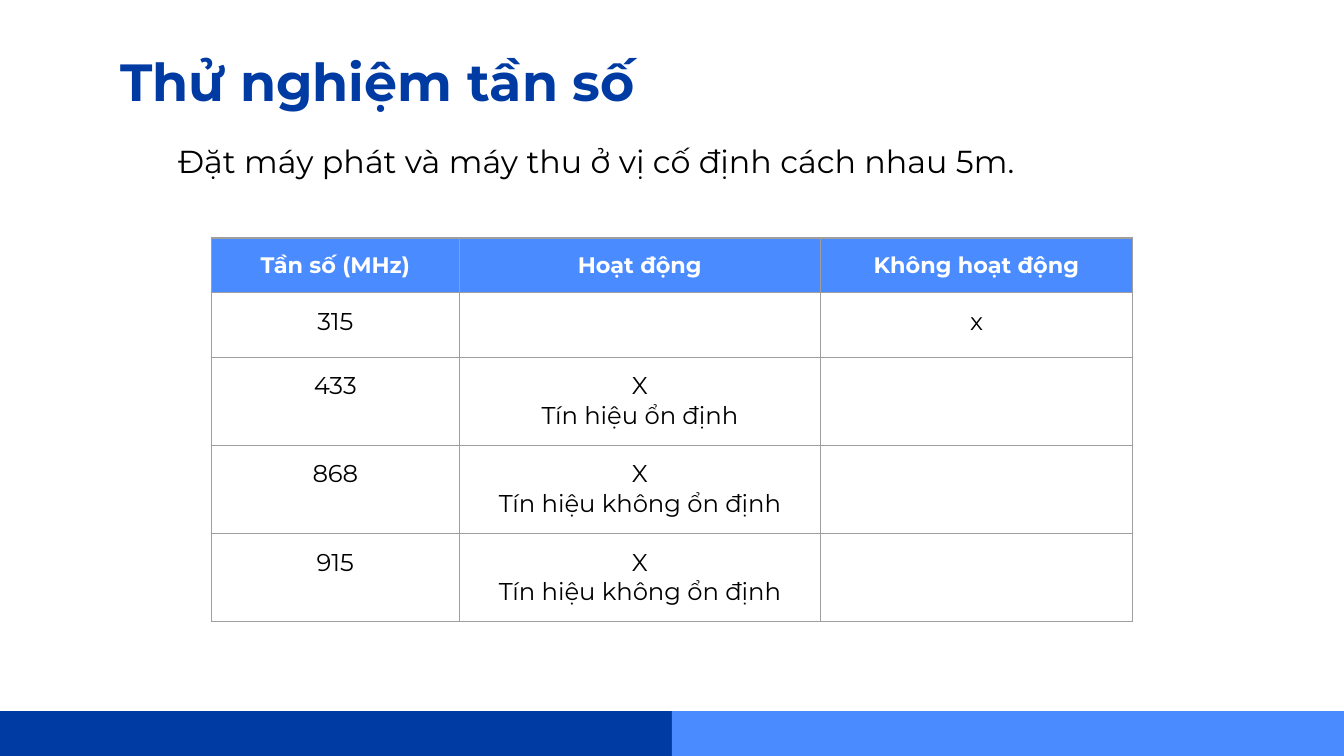
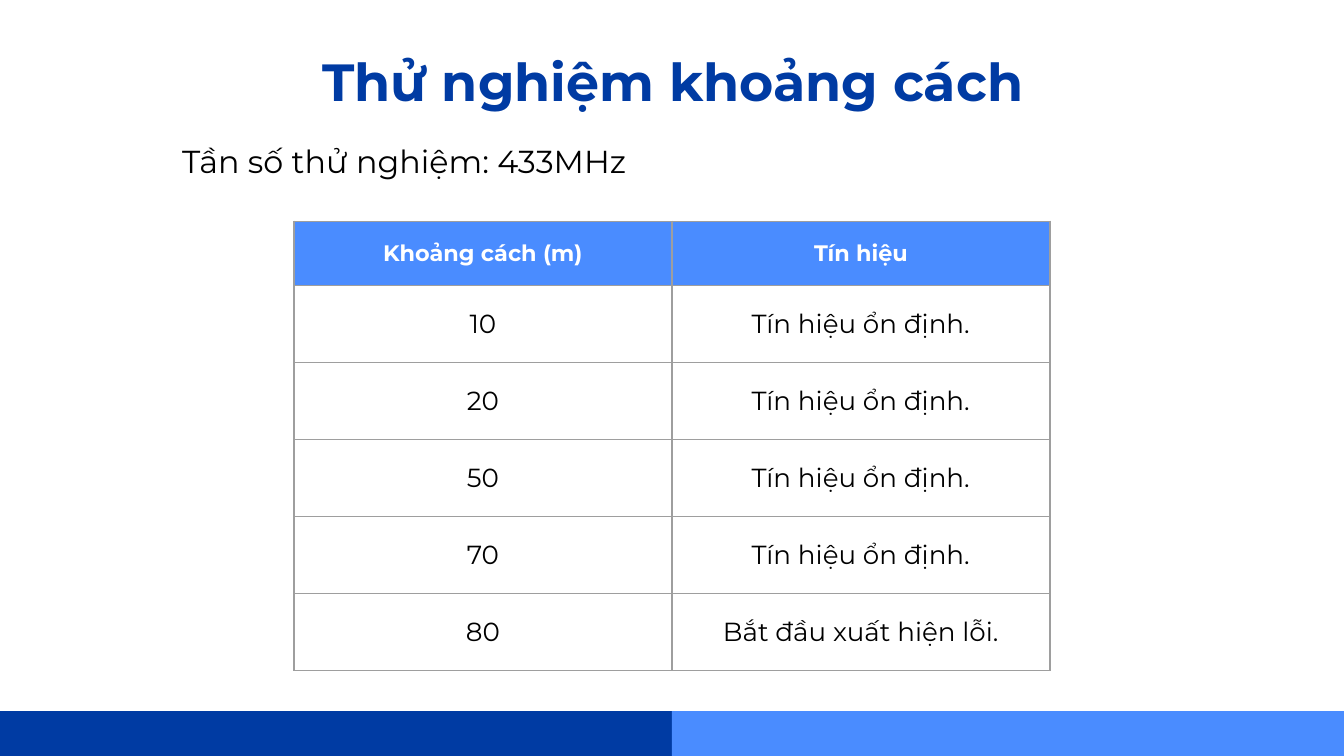
from dataclasses import dataclass
from typing import NamedTuple

from lxml import etree
from pptx import Presentation
from pptx.dml.color import RGBColor
from pptx.enum import shapes, text
from pptx.oxml.ns import qn
from pptx.util import Pt

SCALE = 9525  # EMU in one px, 96 px to the inch
LEFT, MID = text.PP_ALIGN.LEFT, text.PP_ALIGN.CENTER
TOP, CENTER = text.MSO_ANCHOR.TOP, text.MSO_ANCHOR.MIDDLE


@dataclass(frozen=True)
class Theme:
    font: str = "Montserrat"
    navy: str = "003BA3"
    blue: str = "4A8CFF"
    gray: str = "9E9E9E"
    black: str = "000000"
    white: str = "FFFFFF"
    title: int = 28
    body: int = 17
    head: int = 12


THEME = Theme()


class Box(NamedTuple):
    left: int
    top: int
    width: int
    height: int


class Style(NamedTuple):
    size: int
    color: str
    bold: bool = False
    align: text.PP_ALIGN = LEFT


@dataclass(frozen=True)
class Grid:
    left: int
    top: int
    cols: list[int]
    rows: list[int]
    size: int
    anchor: text.MSO_ANCHOR
    cells: list[list[str]]


@dataclass(frozen=True)
class Page:
    title: str
    align: text.PP_ALIGN
    note: str
    place: Box
    indent: int
    grid: Grid


WIDTH, HEIGHT = 960, 540
PAD = 10
BAND = 32
TITLE = Box(76, 25, 809, 67)

PAGES = [
    Page(
        "Thử nghiệm tần số", LEFT,
        "Đặt máy phát và máy thu ở vị cố định cách nhau 5m.",
        Box(69, 91, 821, 47), 48,
        Grid(151, 170, [177, 258, 223], [36, 46] + [63] * 3, 13, TOP, [
            ["Tần số (MHz)", "Hoạt động", "Không hoạt động"],
            ["315", "", "x"],
            ["433", "X\nTín hiệu ổn định", ""],
            ["868", "X\nTín hiệu không ổn định", ""],
            ["915", "X\nTín hiệu không ổn định", ""],
        ]),
    ),
    Page(
        "Thử nghiệm khoảng cách", MID,
        "Tần số thử nghiệm: 433MHz",
        Box(120, 91, 770, 74), 0,
        Grid(210, 158, [270] * 2, [46] + [55] * 5, 14, CENTER, [
            ["Khoảng cách (m)", "Tín hiệu"],
            *[[far, "Tín hiệu ổn định."] for far in ("10", "20", "50", "70")],
            ["80", "Bắt đầu xuất hiện lỗi."],
        ]),
    ),
]


def px(count: int) -> int:
    return count * SCALE


def emu(box: Box) -> list[int]:
    return [px(side) for side in box]


def rgb(color: str) -> RGBColor:
    return RGBColor.from_string(color)


def write(frame, words: str, style: Style) -> None:
    """Fill a text frame with one paragraph for each line of words."""
    for order, line in enumerate(words.split("\n")):
        para = frame.add_paragraph() if order else frame.paragraphs[0]
        para.alignment = style.align
        if not line:
            # An empty cell must not be taller than its row.
            para._p.get_or_add_endParaRPr().set("sz", str(style.size * 100))
            continue
        run = para.add_run()
        run.text = line
        run.font.name = THEME.font
        run.font.size = Pt(style.size)
        run.font.bold = style.bold
        run.font.color.rgb = rgb(style.color)


def pad(item) -> None:
    """Give a cell or text frame the same inset on all sides."""
    item.margin_left = item.margin_right = px(PAD)
    item.margin_top = item.margin_bottom = px(PAD)


def add_text(slide, box: Box, words: str, style: Style):
    frame = slide.shapes.add_textbox(*emu(box)).text_frame
    frame.word_wrap = True
    pad(frame)
    write(frame, words, style)
    return frame


def add_bands(slide) -> None:
    half = WIDTH // 2
    for order, color in enumerate((THEME.navy, THEME.blue)):
        box = Box(order * half, HEIGHT - BAND, half, BAND)
        band = slide.shapes.add_shape(shapes.MSO_SHAPE.RECTANGLE, *emu(box))
        band.shadow.inherit = False
        band.fill.solid()
        band.fill.fore_color.rgb = rgb(color)
        band.line.fill.background()


def rule(cell) -> None:
    """Draw a thin line on each side of a cell."""
    props = cell._tc.get_or_add_tcPr()
    for side in ("lnL", "lnR", "lnT", "lnB"):
        line = etree.SubElement(props, qn(f"a:{side}"), w=str(px(1)))
        fill = etree.SubElement(line, qn("a:solidFill"))
        etree.SubElement(fill, qn("a:srgbClr"), val=THEME.gray)


def add_grid(slide, grid: Grid) -> None:
    box = Box(grid.left, grid.top, sum(grid.cols), sum(grid.rows))
    table = slide.shapes.add_table(
        len(grid.rows), len(grid.cols), *emu(box)).table
    table.first_row = table.horz_banding = False
    for col, width in zip(table.columns, grid.cols):
        col.width = px(width)
    for row, height in zip(table.rows, grid.rows):
        row.height = px(height)
    head = Style(THEME.head, THEME.white, True, MID)
    body = Style(grid.size, THEME.black, False, MID)
    for r, line in enumerate(grid.cells):
        for c, words in enumerate(line):
            cell = table.cell(r, c)
            rule(cell)
            pad(cell)
            cell.vertical_anchor = grid.anchor
            if r == 0:
                cell.fill.solid()
                cell.fill.fore_color.rgb = rgb(THEME.blue)
            else:
                cell.fill.background()
            write(cell.text_frame, words, body if r else head)


def add_page(deck, page: Page) -> None:
    slide = deck.slides.add_slide(deck.slide_layouts[6])
    slide.background.fill.solid()
    slide.background.fill.fore_color.rgb = rgb(THEME.white)
    add_text(slide, TITLE, page.title,
             Style(THEME.title, THEME.navy, True, page.align))
    add_bands(slide)
    note = add_text(slide, page.place, page.note,
                    Style(THEME.body, THEME.black))
    note.auto_size = text.MSO_AUTO_SIZE.SHAPE_TO_FIT_TEXT
    note.paragraphs[0]._p.get_or_add_pPr().set("marL", str(px(page.indent)))
    add_grid(slide, page.grid)


def main() -> None:
    deck = Presentation()
    deck.slide_width, deck.slide_height = px(WIDTH), px(HEIGHT)
    for page in PAGES:
        add_page(deck, page)
    deck.save("out.pptx")


if __name__ == "__main__":
    main()
